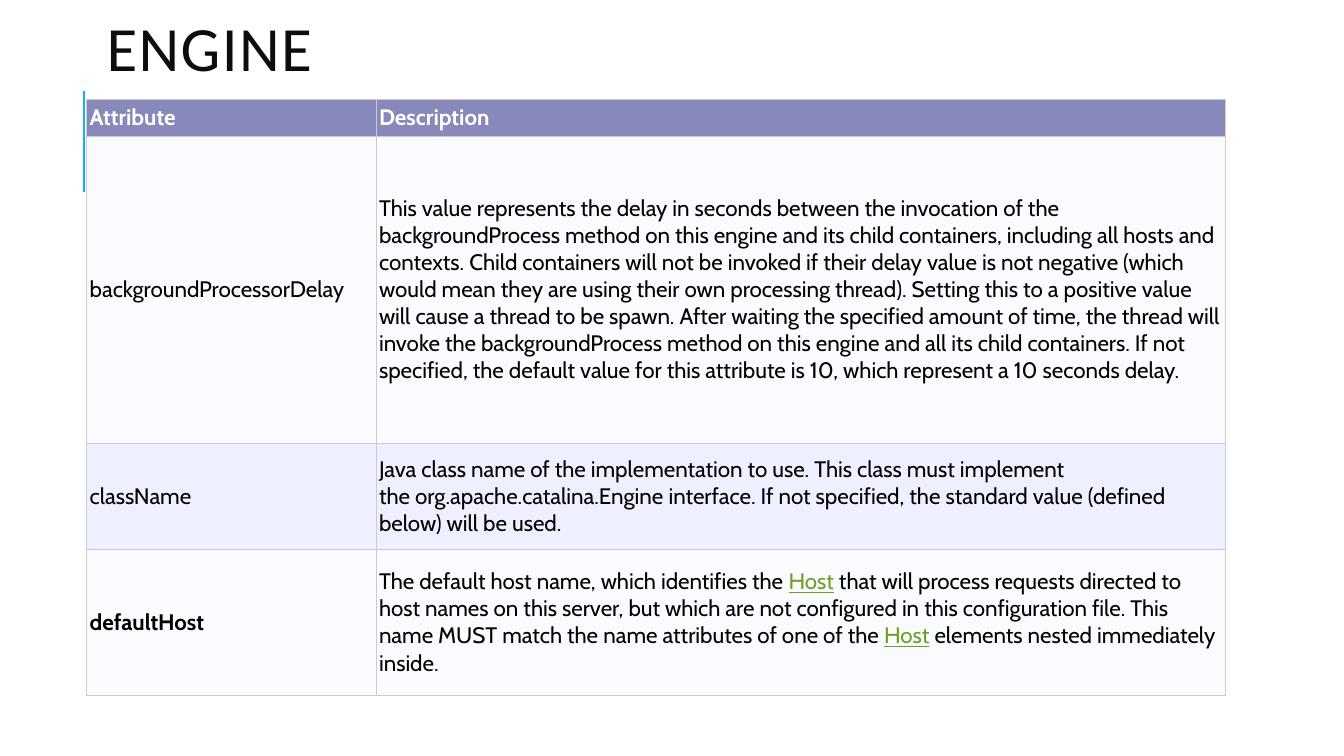
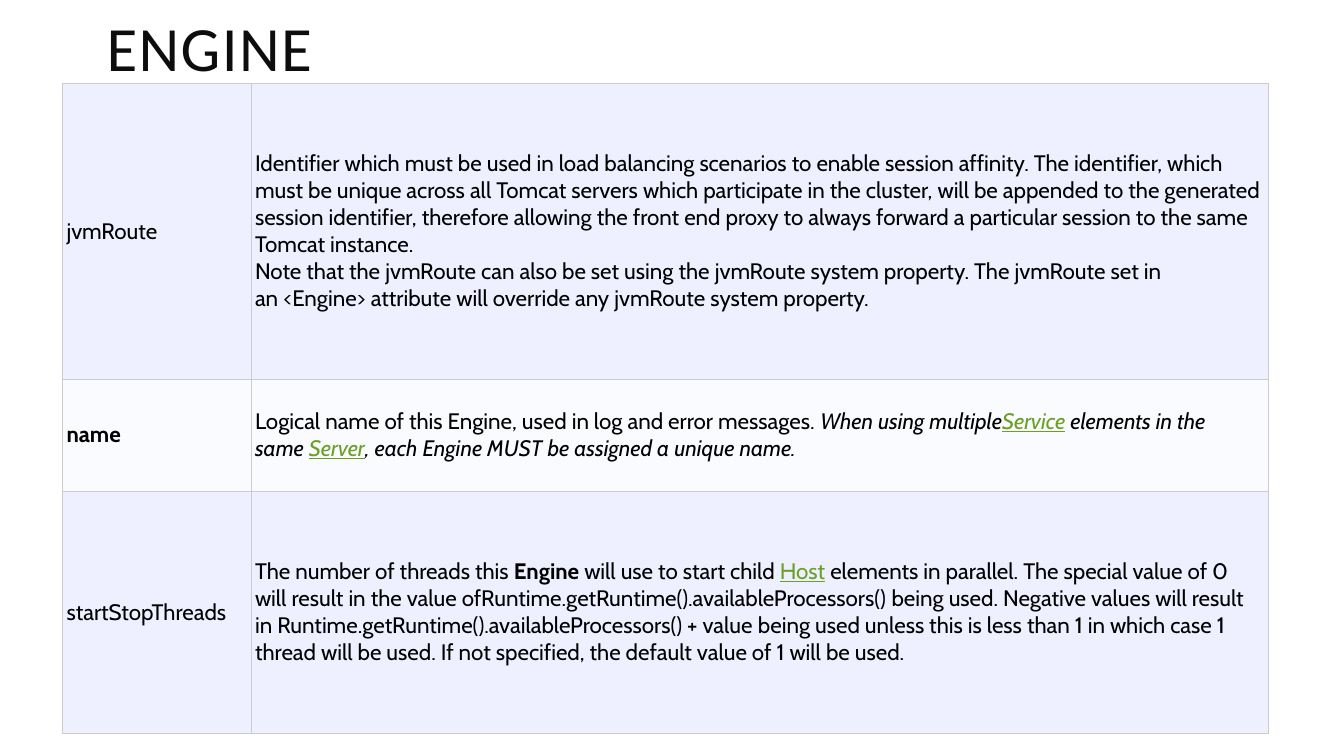
from lxml.etree import SubElement
from pptx import Presentation
from pptx.dml.color import RGBColor
from pptx.enum.shapes import MSO_CONNECTOR
from pptx.enum.text import MSO_ANCHOR
from pptx.oxml.ns import qn
from pptx.util import Pt

PX = 9144
NBSP = chr(160)
COLORS = {
    "accent": "1CADE4",
    "title": "0D0D0D",
    "border": "CCCCCC",
    "header": "8888BB",
    "light": "FAFBFF",
    "tint": "EEEFFF",
    "white": "FFFFFF",
    "black": "000000",
    "link": "6B9F25",
}
BODY = {"name": "Cabin", "size": Pt(16)}
FORMATS = {
    "title": ("title", {"name": "Calibri", "size": Pt(45)}),
    "header": ("white", {**BODY, "bold": True}),
    "text": ("black", BODY),
    "bold": ("black", {**BODY, "bold": True}),
    "italic": ("black", {**BODY, "italic": True}),
    "link": ("link", {**BODY, "underline": True}),
    "italic link": ("link", {**BODY, "italic": True, "underline": True}),
}

SLIDES = [
    {
        "title": "ENGINE",
        "origin": (86, 99),
        "columns": [287, 842],
        "inset": 3,
        "rows": [
            (36, "header", ("Attribute", "header"), [[("Description", "header")]]),
            (305, "light", ("backgroundProcessorDelay", "text"), [[
                ("This value represents the delay in seconds between the invocation of the "
                 "backgroundProcess method on this engine and its child containers, including "
                 "all hosts and contexts. Child containers will not be invoked if their delay "
                 "value is not negative (which would mean they are using their own processing "
                 "thread). Setting this to a positive value will cause a thread to be spawn. "
                 "After waiting the specified amount of time, the thread will invoke the "
                 "backgroundProcess method on this engine and all its child containers. If not "
                 "specified, the default value for this attribute is 10, which represent a 10 "
                 "seconds delay.", "text"),
            ]]),
            (105, "tint", ("className", "text"), [[
                ("Java class name of the implementation to use. This class must implement "
                 "the~org.apache.catalina.Engine~interface. If not specified, the standard "
                 "value (defined below) will be used.", "text"),
            ]]),
            (145, "light", ("defaultHost", "bold"), [[
                ("The default host name, which identifies the~", "text"),
                ("Host", "link"),
                ("~that will process requests directed to host names on this server, but which "
                 "are not configured in this configuration file. This name MUST match "
                 "the~name~attributes of one of the~", "text"),
                ("Host", "link"),
                ("~elements nested immediately inside.", "text"),
            ]]),
        ],
    },
    {
        "title": "ENGINE",
        "origin": (62, 83),
        "columns": [187, 1009],
        "inset": 4,
        "rows": [
            (293, "tint", ("jvmRoute", "text"), [
                [("Identifier which must be used in load balancing scenarios to enable session "
                  "affinity. The identifier, which must be unique across all Tomcat servers "
                  "which participate in the cluster, will be appended to the generated session "
                  "identifier, therefore allowing the front end proxy to always forward a "
                  "particular session to the same Tomcat instance.", "text")],
                [("Note that the~jvmRoute~can also be set using the~jvmRoute~system property. "
                  "The~jvmRoute~set in an~<Engine>~attribute will override any~jvmRoute~system "
                  "property.", "text")],
            ]),
            (111, "light", ("name", "bold"), [[
                ("Logical name of this Engine, used in log and error messages.~", "text"),
                ("When using multiple", "italic"),
                ("Service", "italic link"),
                ("~elements in the same~", "italic"),
                ("Server", "italic link"),
                (", each Engine MUST be assigned a unique name.", "italic"),
            ]]),
            (241, "tint", ("startStopThreads", "text"), [[
                ("The number of threads this~", "text"),
                ("Engine", "bold"),
                ("~will use to start child~", "text"),
                ("Host", "link"),
                ("~elements in parallel. The special value of 0 will result in the value "
                 "ofRuntime.getRuntime().availableProcessors()~being used. Negative values will "
                 "result in~Runtime.getRuntime().availableProcessors() + value~being used unless "
                 "this is less than 1 in which case 1 thread will be used. If not specified, the "
                 "default value of 1 will be used.", "text"),
            ]]),
        ],
    },
]


def add_run(p, text, style):
    r = p.add_run()
    r.text = text.replace("~", NBSP)
    color, values = FORMATS[style]
    for name, value in values.items():
        setattr(r.font, name, value)
    r.font.color.rgb = RGBColor.from_string(COLORS[color])
    return r


def style_cell(cell, fill, inset):
    tcPr = cell._tc.get_or_add_tcPr()
    for side in ("lnL", "lnR", "lnT", "lnB"):
        ln = SubElement(tcPr, qn(f"a:{side}"), w=str(Pt(0.6)))
        solid = SubElement(ln, qn("a:solidFill"))
        SubElement(solid, qn("a:srgbClr"), val=COLORS["border"])
    cell.fill.solid()
    cell.fill.fore_color.rgb = RGBColor.from_string(COLORS[fill])
    cell.vertical_anchor = MSO_ANCHOR.MIDDLE
    cell.margin_left = cell.margin_right = inset * PX
    cell.margin_top = cell.margin_bottom = 2 * PX


prs = Presentation()
prs.slide_width, prs.slide_height = 1333 * PX, 750 * PX

for data in SLIDES:
    s = prs.slides.add_slide(prs.slide_layouts[6])

    line = s.shapes.add_connector(
        MSO_CONNECTOR.STRAIGHT, 83 * PX, 190 * PX, 83 * PX, 90 * PX)
    line.line.color.rgb = RGBColor.from_string(COLORS["accent"])
    line.line.width = Pt(1.5)
    SubElement(line._element.spPr, qn("a:effectLst"))

    tf = s.shapes.add_textbox(96 * PX, 23 * PX, 1063 * PX, 60 * PX).text_frame
    tf.word_wrap = True
    tf.vertical_anchor = MSO_ANCHOR.MIDDLE
    p = tf.paragraphs[0]
    p.line_spacing = 0.8
    r = add_run(p, data["title"], "title")
    r._r.get_or_add_rPr().set("spc", "100")

    rows, columns = data["rows"], data["columns"]
    left, top = data["origin"]
    height = sum(row[0] for row in rows)
    table = s.shapes.add_table(
        len(rows), len(columns),
        left * PX, top * PX, sum(columns) * PX, height * PX).table
    table.first_row = table.horz_banding = False
    for column, width in zip(table.columns, columns):
        column.width = width * PX

    for row, (row_height, fill, attribute, description) in zip(table.rows, rows):
        row.height = row_height * PX
        for cell, paragraphs in zip(row.cells, ([[attribute]], description)):
            style_cell(cell, fill, data["inset"])
            tf = cell.text_frame
            for i, runs in enumerate(paragraphs):
                p = tf.add_paragraph() if i else tf.paragraphs[0]
                for text, style in runs:
                    add_run(p, text, style)

prs.save("out.pptx")
